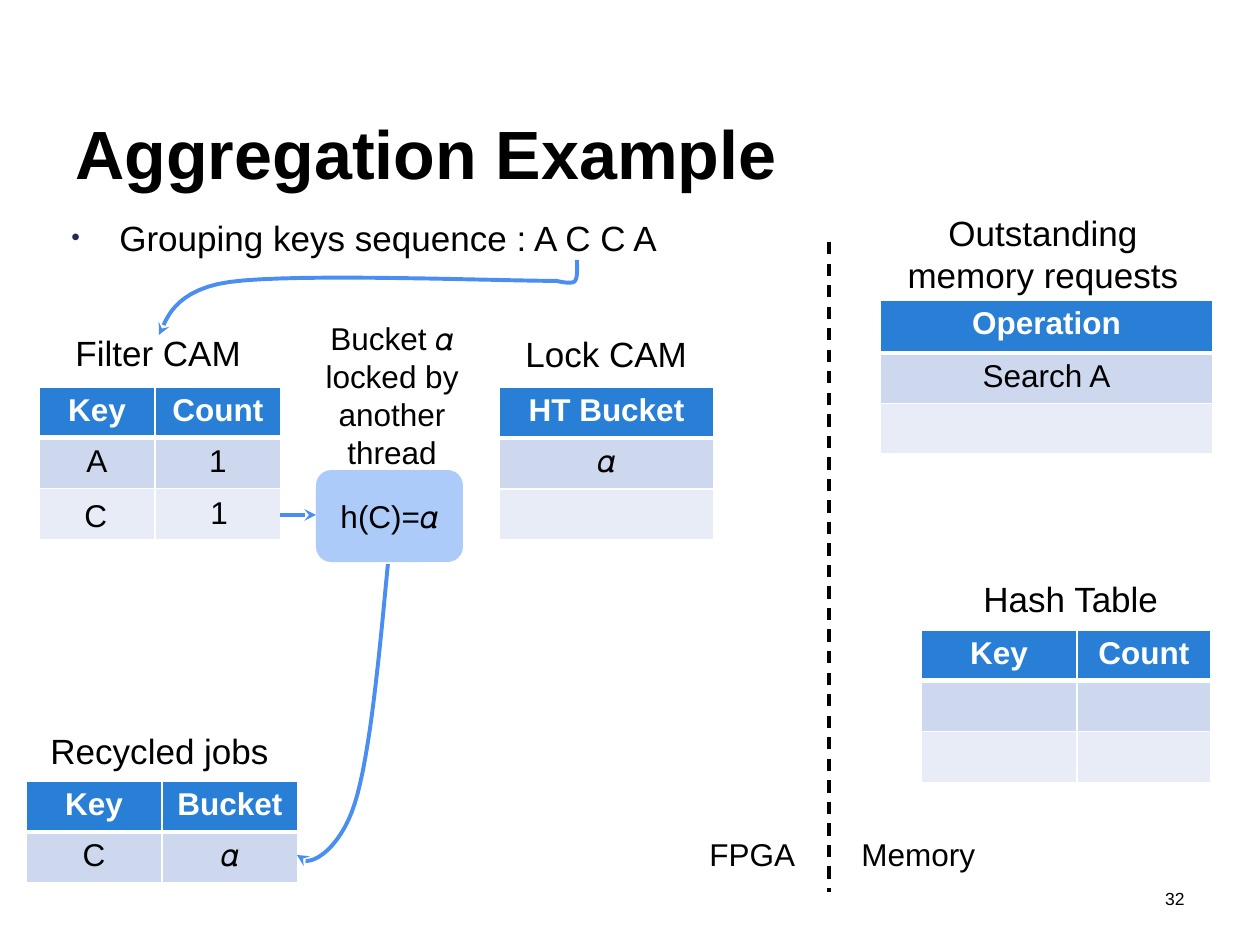
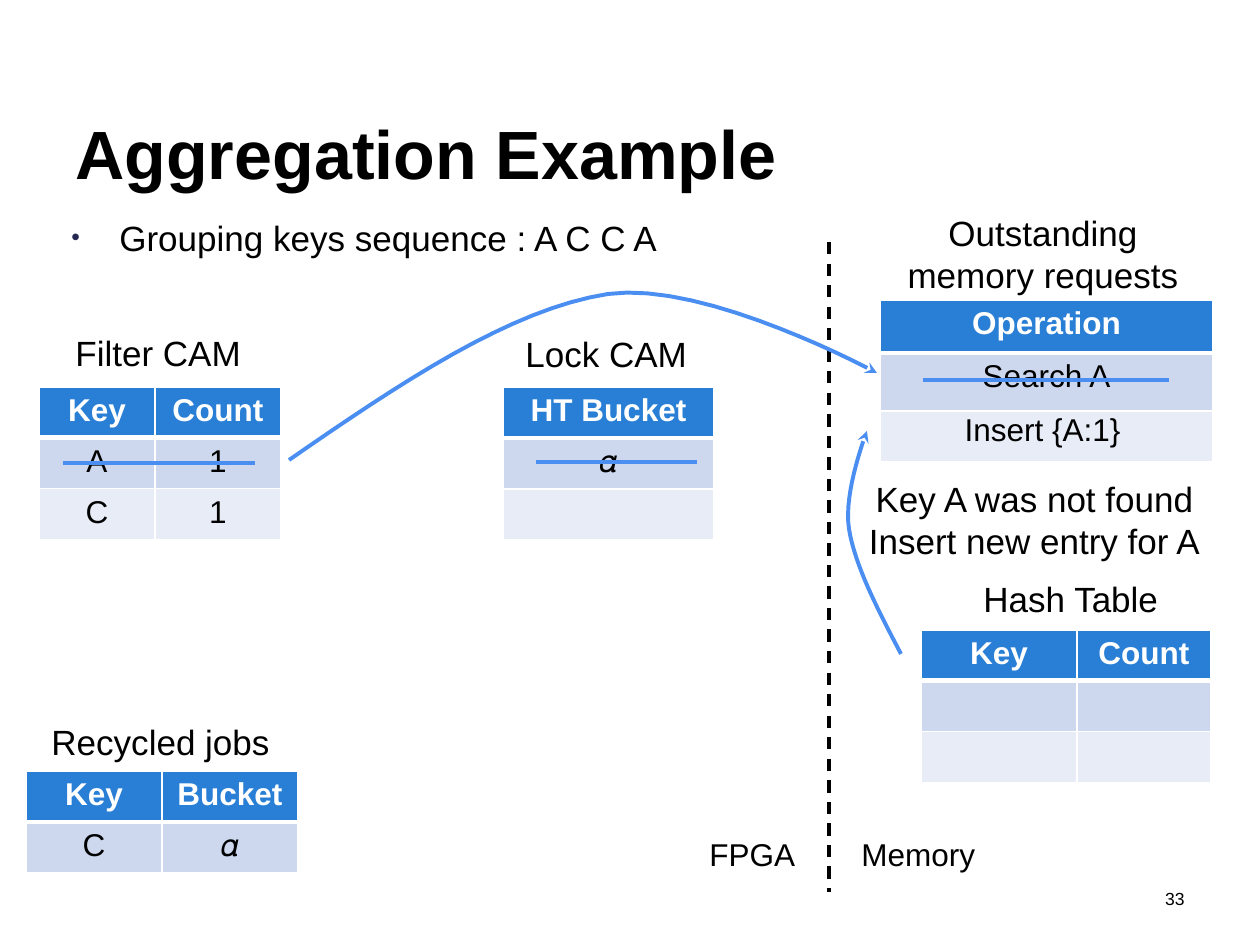
from lxml import etree
from pptx import Presentation
from pptx.dml.color import RGBColor
from pptx.enum.dml import MSO_LINE
from pptx.enum.shapes import MSO_CONNECTOR, MSO_SHAPE
from pptx.enum.text import MSO_ANCHOR, MSO_AUTO_SIZE, PP_ALIGN
from pptx.oxml.ns import qn
from pptx.util import Pt

EMU_PER_PIXEL = 914400 / 126
SLIDE_SIZE = (1260, 945)
FONT = "Arial"
LEFT, CENTER, RIGHT = PP_ALIGN.LEFT, PP_ALIGN.CENTER, PP_ALIGN.RIGHT
TOP, MIDDLE, BOTTOM = MSO_ANCHOR.TOP, MSO_ANCHOR.MIDDLE, MSO_ANCHOR.BOTTOM
STRAIGHT, ROUNDED, DASH = MSO_CONNECTOR.STRAIGHT, MSO_SHAPE.ROUNDED_RECTANGLE, MSO_LINE.DASH
NO_FIT, GROW = MSO_AUTO_SIZE.NONE, MSO_AUTO_SIZE.SHAPE_TO_FIT_TEXT
CURVE_STEPS = 16

COLORS = {
    "text": "000000", "bullet": "242852", "white": "FFFFFF", "header": "297FD5",
    "odd_row": "CDD8EF", "even_row": "E8ECF7", "arrow": "4A8EF2", "hash": "ACCBF9",
}
ALPHA = "\U0001d6fc"

# Text styles: size, bold, alignment, anchor, wrap, autofit
STYLES = {
    "title": (39, True, LEFT, BOTTOM, True, NO_FIT),
    "bullet": (20, False, LEFT, TOP, True, NO_FIT),
    "heading": (20, False, LEFT, TOP, False, GROW),
    "remark": (20, False, CENTER, TOP, True, GROW),
    "side": (18, False, LEFT, TOP, False, GROW),
    "entry": (18, False, LEFT, TOP, True, GROW),
    "caption": (18, False, CENTER, TOP, True, GROW),
    "number": (10, False, RIGHT, TOP, True, NO_FIT),
    "hash": (18, False, CENTER, MIDDLE, True, NO_FIT),
}

# Texts: wording, style, (left, top, width, height)
SHARED_TEXTS = [
    ("Aggregation Example", "title", (63, 94, 1134, 105)),
    ("Grouping keys sequence : A C C A", "bullet", (59, 210, 1134, 68)),
    ("Filter CAM", "heading", (63, 325, 193, 55)),
    ("Lock CAM", "heading", (513, 326, 189, 55)),
    ("Outstanding memory requests", "remark", (879, 205, 328, 97)),
    ("Hash Table", "heading", (971, 571, 202, 55)),
]
SIDES = [
    ("FPGA", "side", (697, 829, 112, 50)),
    ("Memory", "side", (849, 829, 140, 50)),
]
DIVIDER = ((829, 242), (829, 892))
NUMBER_BOX = (903, 882, 294, 42)

# Tables: (left, top), column widths, row heights, rows
HASH_TABLE = ((921, 630), (156, 134), (50, 51, 51),
              [("Key", "Count"), ("", ""), ("", "")])


def filter_cam(last_row):
    """Filter CAM table with its changing last row."""
    return ((39, 387), (116, 126), (50, 51, 51), [("Key", "Count"), ("A", "1"), last_row])


def lock_cam(left, width):
    """Lock CAM table."""
    return ((left, 387), (width,), (51, 51, 51), [("HT Bucket",), (ALPHA,), ("",)])


def requests(search_height):
    """Table of outstanding memory requests."""
    return ((880, 300), (333,), (53, search_height, 50), [("Operation",), ("Search A",), ("",)])


def recycled(top):
    """Table of recycled jobs."""
    return ((26, top), (136, 136), (51, 51), [("Key", "Bucket"), ("C", ALPHA)])


# Curves: start point, then the control points of each cubic segment
SLIDES = [
    {
        "number": "32",
        "tables": [lock_cam(499, 215), filter_cam(("", "")), recycled(781),
                   HASH_TABLE, requests(50)],
        "texts": [
            (f"Bucket {ALPHA} locked by another thread", "caption", (300, 313, 184, 165)),
            ("Recycled jobs", "heading", (38, 723, 246, 55)),
            ("C", "entry", (72, 490, 66, 50)),
            ("1", "entry", (198, 487, 55, 50)),
        ],
        "hashes": [(f"h(C)={ALPHA}", "hash", (316, 470, 147, 92))],
        "curves": [
            [(388, 564), (379, 659), (370, 755), (355, 803),
             (340, 852), (305, 872), (297, 855)],
            [(577, 260), (577, 268), (578, 277), (575, 281), (572, 285), (557, 281), (557, 281),
             (499, 281), (296, 273), (230, 282), (164, 291), (164, 333), (159, 335)],
        ],
        "arrows": [((280, 515), (316, 515))],
        "strikes": [],
    },
    {
        "number": "33",
        "tables": [lock_cam(503, 211), filter_cam(("C", "1")), recycled(771),
                   HASH_TABLE, requests(58)],
        "texts": [
            ("Key A was not found\nInsert new entry for A", "remark", (855, 471, 359, 97)),
            ("Recycled jobs", "heading", (39, 714, 246, 55)),
            ("Insert {A:1}", "caption", (951, 404, 183, 50)),
        ],
        "hashes": [],
        "curves": [
            [(901, 654), (878, 610), (855, 566), (849, 529), (843, 492), (867, 431), (867, 431)],
            [(289, 460), (399, 384), (510, 309), (608, 294), (706, 280), (877, 373), (877, 373)],
        ],
        "arrows": [],
        "strikes": [((923, 380), (1169, 380)), ((536, 462), (697, 462)), ((63, 463), (255, 463))],
    },
]


def emu(*pixels):
    """Turn picture pixels into EMU."""
    return [round(value * EMU_PER_PIXEL) for value in pixels]


def color(name):
    """Look up a palette colour."""
    return RGBColor.from_string(COLORS[name])


def apply(target, formats):
    """Set every attribute in a dict of format values."""
    for attribute, value in formats.items():
        setattr(target, attribute, value)


def fill_with(part, name):
    """Give a shape or a cell a solid fill."""
    part.fill.solid()
    part.fill.fore_color.rgb = color(name)


def write(frame, words, size, bold, align, ink="text"):
    """Write one paragraph for each line of words."""
    for index, line in enumerate(words.split("\n")):
        paragraph = frame.add_paragraph() if index else frame.paragraphs[0]
        paragraph.alignment = align
        run = paragraph.add_run()
        run.text = line
        apply(run.font, {"name": FONT, "size": Pt(size), "bold": bold})
        run.font.color.rgb = color(ink)


def style_frame(shape, words, style):
    """Fill the text frame of a shape in a named style."""
    size, bold, align, anchor, wrap, fit = STYLES[style]
    apply(shape.text_frame, {"word_wrap": wrap, "auto_size": fit, "vertical_anchor": anchor})
    write(shape.text_frame, words, size, bold, align)


def add_bullet(paragraph):
    """Give a paragraph a hanging bullet."""
    paragraph.space_before = Pt(4)
    indent, = emu(48)
    props = paragraph._p.get_or_add_pPr()
    props.set("marL", str(indent))
    props.set("indent", str(-indent))
    ink = etree.SubElement(props, qn("a:buClr"))
    etree.SubElement(ink, qn("a:srgbClr"), val=COLORS["bullet"])
    etree.SubElement(props, qn("a:buSzPct"), val="70000")
    etree.SubElement(props, qn("a:buFont"), typeface=FONT)
    etree.SubElement(props, qn("a:buChar"), char="\u2022")


def add_text(shapes, words, style, box):
    """Add a text box."""
    text = shapes.add_textbox(*emu(*box))
    style_frame(text, words, style)
    if style == "bullet":
        add_bullet(text.text_frame.paragraphs[0])


def add_hash(shapes, words, style, box):
    """Add the rounded box of a hash value."""
    rounded = shapes.add_shape(ROUNDED, *emu(*box))
    rounded.shadow.inherit = False
    fill_with(rounded, "hash")
    rounded.line.fill.background()
    style_frame(rounded, words, style)


def style_line(shape, ink, width, head=False):
    """Set colour, width and arrowhead of a line."""
    shape.line.color.rgb = color(ink)
    shape.line.width = Pt(width)
    if head:
        etree.SubElement(shape.line._get_or_add_ln(), qn("a:tailEnd"), type="stealth")


def add_line(shapes, start, end, ink="arrow", width=2.25, head=False):
    """Add a straight line."""
    line = shapes.add_connector(STRAIGHT, *emu(*start, *end))
    style_line(line, ink, width, head)
    etree.SubElement(line._element.spPr, qn("a:effectLst"))
    return line


def curve_points(points):
    """Sample the cubic segments of a curve."""
    for first in range(0, len(points) - 1, 3):
        segment = points[first:first + 4]
        for step in range(1, CURVE_STEPS + 1):
            t = step / CURVE_STEPS
            weights = ((1 - t) ** 3, 3 * t * (1 - t) ** 2, 3 * t * t * (1 - t), t ** 3)
            yield emu(*(sum(w * p[axis] for w, p in zip(weights, segment)) for axis in (0, 1)))


def add_curve(shapes, points):
    """Add a curved arrow."""
    builder = shapes.build_freeform(*emu(*points[0]))
    builder.add_line_segments(list(curve_points(points)), close=False)
    curve = builder.convert_to_shape()
    curve.shadow.inherit = False
    curve.fill.background()
    style_line(curve, "arrow", 2.25, head=True)


def add_borders(cell, row):
    """Draw white cell borders, thick below the header."""
    props = cell._tc.get_or_add_tcPr()
    widths = {"L": 1, "R": 1, "T": 3 if row == 1 else 1, "B": 3 if row == 0 else 1}
    for index, (side, width) in enumerate(widths.items()):
        border = etree.Element(qn(f"a:ln{side}"), w=str(Pt(width)))
        solid = etree.SubElement(border, qn("a:solidFill"))
        etree.SubElement(solid, qn("a:srgbClr"), val=COLORS["white"])
        props.insert(index, border)


def add_grid(shapes, corner, widths, heights, rows):
    """Add a table with a header and striped rows."""
    box = emu(*corner, sum(widths), sum(heights))
    table = shapes.add_table(len(rows), len(widths), *box).table
    table.horz_banding = False
    for column, width in zip(table.columns, emu(*widths)):
        column.width = width
    for row, height in zip(table.rows, emu(*heights)):
        row.height = height
    for r, values in enumerate(rows):
        band = "header" if r == 0 else "odd_row" if r % 2 else "even_row"
        for c, value in enumerate(values):
            cell = table.cell(r, c)
            fill_with(cell, band)
            add_borders(cell, r)
            if value:
                write(cell.text_frame, value, 18, r == 0, CENTER, "text" if r else "white")


def add_divider(shapes):
    """Add the grouped border between FPGA and memory."""
    group = shapes.add_group_shape().shapes
    add_line(group, *DIVIDER, ink="text", width=1.75).line.dash_style = DASH
    for side in SIDES:
        add_text(group, *side)


def build_slide(deck, content):
    """Build one step of the example."""
    shapes = deck.slides.add_slide(deck.slide_layouts[6]).shapes
    for text in SHARED_TEXTS:
        add_text(shapes, *text)
    add_divider(shapes)
    for table in content["tables"]:
        add_grid(shapes, *table)
    for hashed in content["hashes"]:
        add_hash(shapes, *hashed)
    for text in content["texts"]:
        add_text(shapes, *text)
    for curve in content["curves"]:
        add_curve(shapes, curve)
    for arrow in content["arrows"]:
        add_line(shapes, *arrow, head=True)
    for strike in content["strikes"]:
        add_line(shapes, *strike)
    add_text(shapes, content["number"], "number", NUMBER_BOX)


deck = Presentation()
deck.slide_width, deck.slide_height = emu(*SLIDE_SIZE)
for content in SLIDES:
    build_slide(deck, content)
deck.save("out.pptx")
